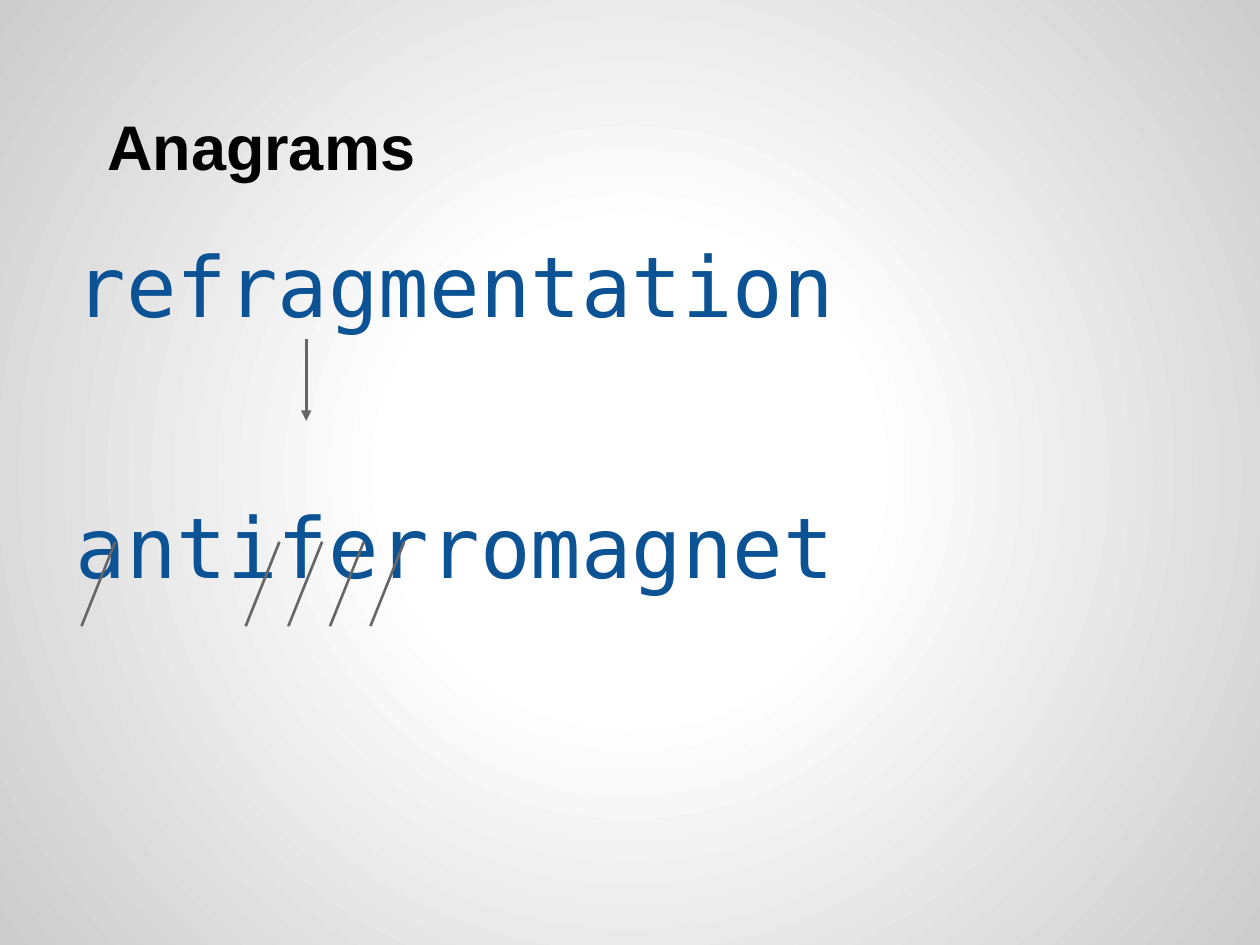
import pptx
import pptx.util
import pptx.dml.color
import pptx.enum.shapes
import pptx.enum.text
import pptx.oxml
import pptx.oxml.ns
from pptx.util import Pt

WORD_COLOR = "0B5394"
MARK_COLOR = "666666"
SLASH_LEFTS = (152.6, 128.8, 104.4, 175.7, 10.6)


def color(value):
    return pptx.dml.color.RGBColor.from_string(value)


def set_background(page):
    """Radial gradient, white in the middle and grey in the corners."""
    page.background.fill.gradient()
    gradient = page.element.find(".//" + pptx.oxml.ns.qn("a:gradFill"))
    stops = "".join(
        f'<a:gs pos="{percent * 1000}"><a:srgbClr val="{value}"/></a:gs>'
        for percent, value in ((0, "FFFFFF"), (30, "FFFFFF"), (100, "CCCCCC")))
    radial = pptx.oxml.parse_xml(
        f'<a:gradFill {pptx.oxml.ns.nsdecls("a")} rotWithShape="1">'
        f'<a:gsLst>{stops}</a:gsLst><a:path path="circle">'
        '<a:fillToRect l="50000" t="50000" r="50000" b="50000"/>'
        '</a:path></a:gradFill>')
    gradient.getparent().replace(gradient, radial)


def place_text(holder, box, anchor):
    holder.left, holder.top, holder.width, holder.height = map(Pt, box)
    frame = holder.text_frame
    frame.margin_left = frame.margin_right = Pt(7.2)
    frame.margin_top = frame.margin_bottom = Pt(7.2)
    frame.word_wrap = True
    frame.auto_size = pptx.enum.text.MSO_AUTO_SIZE.NONE
    frame.vertical_anchor = anchor
    return frame


def add_span(para, text, font, size, value, bold=False):
    para.alignment = pptx.enum.text.PP_ALIGN.LEFT
    span = para.add_run()
    span.text = text
    span.font.name = font
    span.font.size = Pt(size)
    span.font.bold = bold
    span.font.color.rgb = color(value)


def add_line(page, start, end, arrow=False):
    line = page.shapes.add_connector(
        pptx.enum.shapes.MSO_CONNECTOR.STRAIGHT, *map(Pt, (*start, *end)))
    line.line.color.rgb = color(MARK_COLOR)
    line.line.width = Pt(1.5)
    namespace = pptx.oxml.ns.nsdecls("a")
    if arrow:
        line.line._get_or_add_ln().append(
            pptx.oxml.parse_xml(f'<a:tailEnd {namespace} type="triangle"/>'))
    line.element.spPr.append(pptx.oxml.parse_xml(f"<a:effectLst {namespace}/>"))


def build_title(page, box):
    frame = place_text(page.shapes.title, box, pptx.enum.text.MSO_ANCHOR.BOTTOM)
    para = frame.paragraphs[0]
    para._p.get_or_add_pPr().set("indent", str(Pt(18)))
    add_span(para, "Anagrams", "Arial", 36, "000000", bold=True)


def build_anagram(page, box):
    left, top = box[:2]

    # The two words, with room for the arrow between them
    frame = place_text(page.placeholders[1], box, pptx.enum.text.MSO_ANCHOR.TOP)
    words = (("refragmentation", 6), ("antiferromagnet", 91.5))
    for index, (word, space) in enumerate(words):
        para = frame.add_paragraph() if index else frame.paragraphs[0]
        para.space_before = Pt(space)
        para.line_spacing = 1.0
        properties = para._p.get_or_add_pPr()
        properties.set("marL", str(Pt(27)))
        properties.set("indent", str(Pt(-27)))
        properties.append(pptx.oxml.parse_xml(
            f'<a:buNone {pptx.oxml.ns.nsdecls("a")}/>'))
        add_span(para, word, "DejaVu Sans Mono", 48, WORD_COLOR)

    # Arrow from the first word to the second
    add_line(page, (left + 139, top + 67.7), (left + 139, top + 114.5), arrow=True)

    # Slashes through used letters
    for offset in SLASH_LEFTS:
        add_line(page, (left + offset, top + 231.8),
                 (left + offset + 19.3, top + 183.6))


def main():
    deck = pptx.Presentation()
    deck.slide_width, deck.slide_height = Pt(720), Pt(540)
    page = deck.slides.add_slide(deck.slide_layouts[1])
    set_background(page)
    build_title(page, (36, 21.6, 648, 90))
    build_anagram(page, (36, 126, 648, 391))
    deck.save("out.pptx")


if __name__ == "__main__":
    main()
